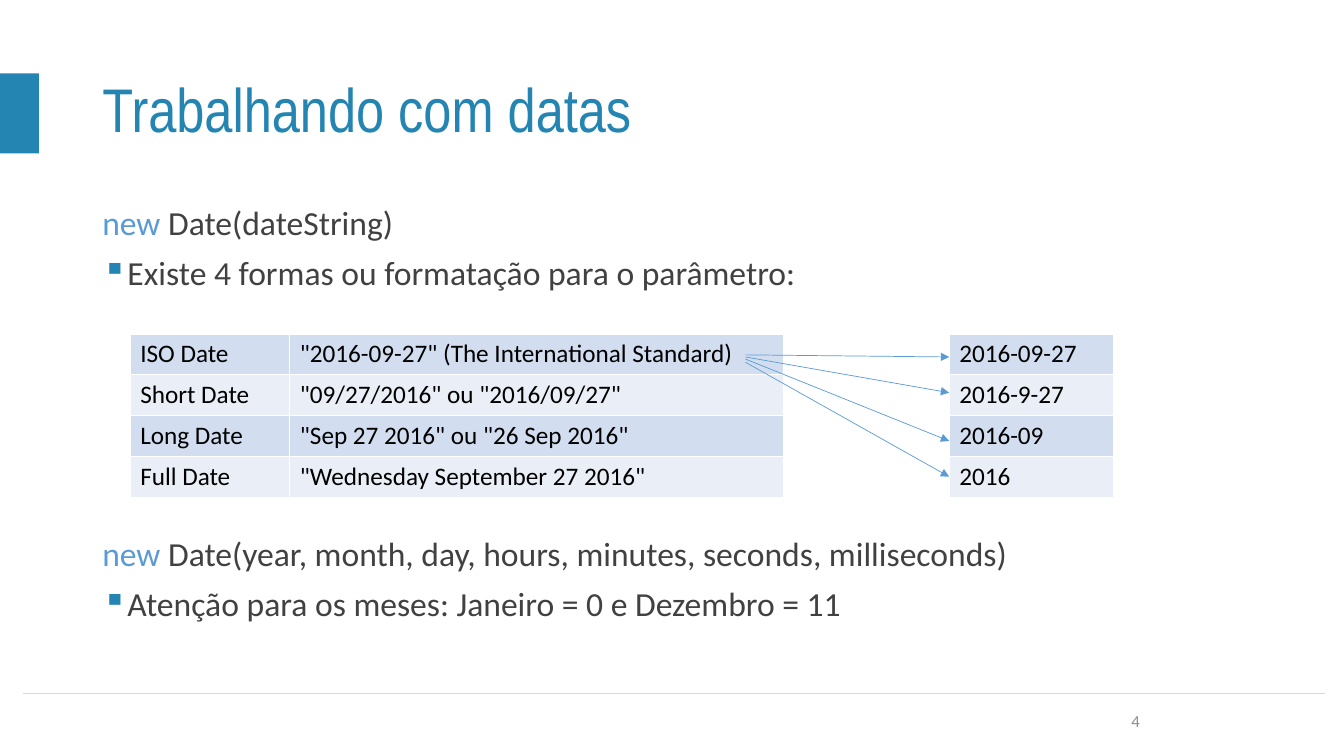
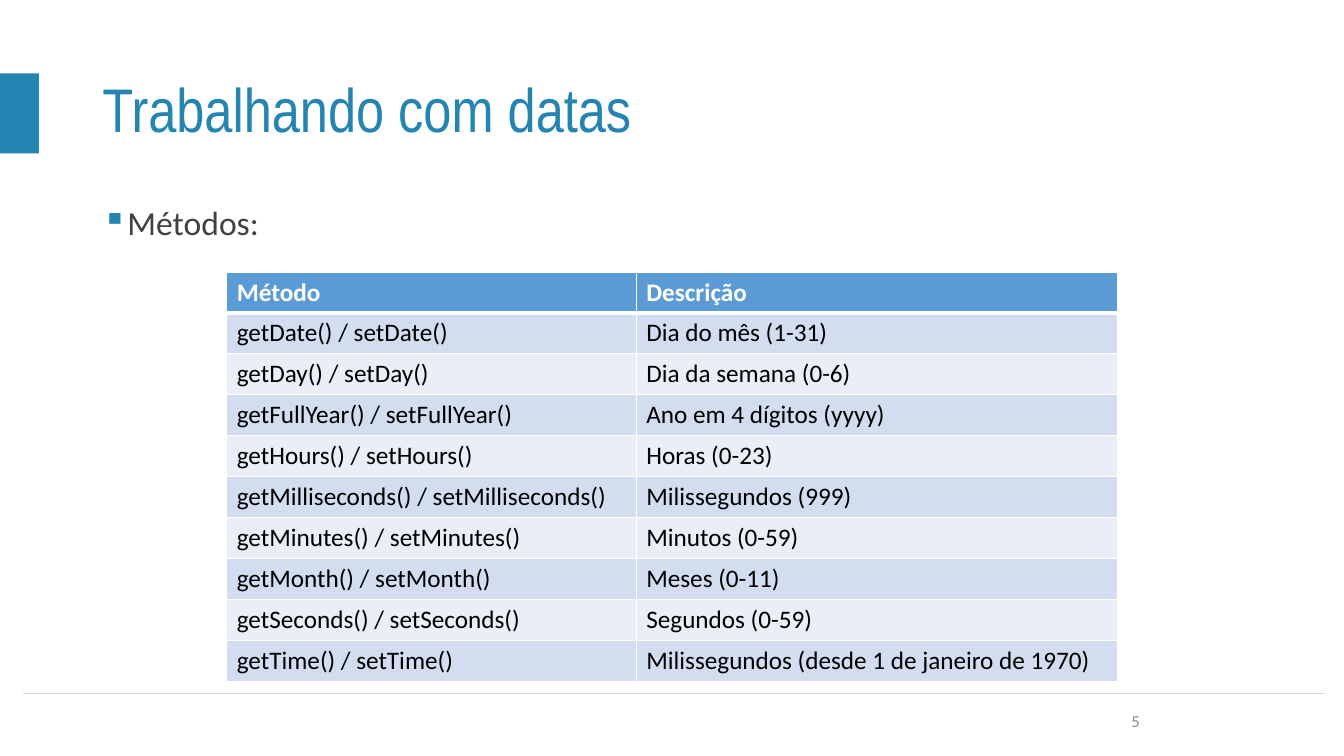
from lxml.etree import SubElement
from pptx import Presentation
from pptx.dml.color import RGBColor
from pptx.enum.shapes import MSO_CONNECTOR, MSO_SHAPE
from pptx.enum.text import MSO_ANCHOR, MSO_AUTO_SIZE, PP_ALIGN
from pptx.oxml.ns import qn
from pptx.util import Pt

EMU_PER_PX = 9525

TEAL = "2484B2"
BLUE = "5B9BD5"
BAND_DARK = "D2DEEF"
BAND_LIGHT = "EAEFF7"
RULE_GRAY = "D9D9D9"
TEXT_GRAY = "414141"
NUMBER_GRAY = "8C8C8C"
WHITE = "FFFFFF"
BLACK = "000000"

TITLE_FONT = {"name": "Arial Narrow", "size": Pt(44), "bold": False}
BODY_FONT = {"name": "Calibri", "size": Pt(24)}
NUMBER_FONT = {"name": "Calibri", "size": Pt(12)}
CELL_FONT = {"name": "Calibri", "size": Pt(18), "bold": False}
HEADER_FONT = {**CELL_FONT, "bold": True}
MIDDLE_FRAME = {
    "word_wrap": True,
    "auto_size": MSO_AUTO_SIZE.NONE,
    "vertical_anchor": MSO_ANCHOR.MIDDLE,
}
BODY_FRAME = {**MIDDLE_FRAME, "vertical_anchor": MSO_ANCHOR.TOP}
TITLE_PARAGRAPH = {"alignment": PP_ALIGN.LEFT, "line_spacing": 0.9}
BODY_PARAGRAPH = {**TITLE_PARAGRAPH, "space_before": Pt(10)}

TITLE = "Trabalhando com datas"
BODY_LEFT, BODY_WIDTH = 88, 1104
ROW_HEIGHT = 39
DATES_TOP = 318
RESULTS_LEFT = 904

DATE_FORMATS = [
    ("ISO Date", '"2016-09-27" (The International Standard)'),
    ("Short Date", '"09/27/2016" ou "2016/09/27"'),
    ("Long Date", '"Sep 27 2016" ou "26 Sep 2016"'),
    ("Full Date", '"Wednesday September 27 2016"'),
]
ISO_VARIANTS = [("2016-09-27",), ("2016-9-27",), ("2016-09",), ("2016",)]
ARROW_HEIGHTS = [(338, 340), (340, 374), (342, 420), (345, 454)]
METHODS = [
    ("Método", "Descrição"),
    ("getDate() / setDate()", "Dia do mês (1-31)"),
    ("getDay() / setDay()", "Dia da semana (0-6)"),
    ("getFullYear() / setFullYear()", "Ano em 4 dígitos (yyyy)"),
    ("getHours() / setHours()", "Horas (0-23)"),
    ("getMilliseconds() / setMilliseconds()", "Milissegundos (999)"),
    ("getMinutes() / setMinutes()", "Minutos (0-59)"),
    ("getMonth() / setMonth()", "Meses (0-11)"),
    ("getSeconds() / setSeconds()", "Segundos (0-59)"),
    ("getTime() / setTime()", "Milissegundos (desde 1 de janeiro de 1970)"),
]


def px(*lengths):
    return [length * EMU_PER_PX for length in lengths]


def rgb(value):
    return RGBColor.from_string(value)


def apply(target, values):
    for name, value in values.items():
        setattr(target, name, value)


def add_run(paragraph, text, font, color):
    run = paragraph.add_run()
    run.text = text
    apply(run.font, font)
    run.font.color.rgb = rgb(color)


def add_line(slide, start, end, color, arrow=False):
    connector = slide.shapes.add_connector(
        MSO_CONNECTOR.STRAIGHT, *px(*start, *end)
    )
    connector.line.color.rgb = rgb(color)
    connector.line.width = Pt(0.5)
    if arrow:
        SubElement(connector.line._get_or_add_ln(), qn("a:tailEnd"), type="triangle")
    SubElement(connector._element.spPr, qn("a:effectLst"))


def add_bullet(paragraph):
    properties = paragraph._p.get_or_add_pPr()
    indent = px(24)[0]
    properties.set("marL", str(indent))
    properties.set("indent", str(-indent))
    bullet_color = SubElement(properties, qn("a:buClr"))
    SubElement(bullet_color, qn("a:srgbClr"), val=TEAL)
    SubElement(properties, qn("a:buChar"), char="▪")


def add_body(slide, top, bullet, constructor=None):
    box = slide.shapes.add_textbox(*px(BODY_LEFT, top, BODY_WIDTH, 92))
    frame = box.text_frame
    apply(frame, BODY_FRAME)
    paragraph = frame.paragraphs[0]
    if constructor:
        apply(paragraph, BODY_PARAGRAPH)
        add_run(paragraph, "new", BODY_FONT, BLUE)
        add_run(paragraph, f" {constructor}", BODY_FONT, TEXT_GRAY)
        paragraph = frame.add_paragraph()
    apply(paragraph, BODY_PARAGRAPH)
    add_bullet(paragraph)
    add_run(paragraph, bullet, BODY_FONT, TEXT_GRAY)


def set_borders(cell, widths):
    properties = cell._tc.get_or_add_tcPr()
    for side, width in widths.items():
        border = SubElement(properties, qn(f"a:ln{side}"), w=str(Pt(width)))
        fill = SubElement(border, qn("a:solidFill"))
        SubElement(fill, qn("a:srgbClr"), val=WHITE)


def add_grid(slide, left, top, widths, rows, header=False):
    table = slide.shapes.add_table(
        len(rows), len(widths), *px(left, top, sum(widths), ROW_HEIGHT * len(rows))
    ).table
    apply(table, {"first_row": header, "horz_banding": False})
    for column, width in zip(table.columns, px(*widths)):
        column.width = width
    for index, (row, texts) in enumerate(zip(table.rows, rows)):
        row.height = px(ROW_HEIGHT)[0]
        is_header = header and index == 0
        band = (BAND_DARK, BAND_LIGHT)[(index - header) % 2]
        borders = {
            "L": 1,
            "R": 1,
            "T": 3 if header and index == 1 else 1,
            "B": 3 if is_header else 1,
        }
        for cell, text in zip(row.cells, texts):
            set_borders(cell, borders)
            cell.fill.solid()
            cell.fill.fore_color.rgb = rgb(BLUE if is_header else band)
            add_run(
                cell.text_frame.paragraphs[0],
                text,
                HEADER_FONT if is_header else CELL_FONT,
                WHITE if is_header else BLACK,
            )


def add_titled_slide(deck, number):
    slide = deck.slides.add_slide(deck.slide_layouts.get_by_name("Title Only"))
    title = slide.shapes.title
    apply(title, dict(zip(("left", "top", "width", "height"),
                          px(BODY_LEFT, 38, BODY_WIDTH, 139))))
    apply(title.text_frame, MIDDLE_FRAME)
    heading = title.text_frame.paragraphs[0]
    apply(heading, TITLE_PARAGRAPH)
    add_run(heading, TITLE, TITLE_FONT, TEAL)

    marker = slide.shapes.add_shape(MSO_SHAPE.RECTANGLE, *px(0, 70, 37, 76))
    marker.shadow.inherit = False
    marker.fill.solid()
    marker.fill.fore_color.rgb = rgb(TEAL)
    marker.line.fill.background()
    add_line(slide, (22, 660), (1262, 660), RULE_GRAY)

    footer = slide.shapes.add_textbox(*px(904, 667, 191, 38)).text_frame
    apply(footer, MIDDLE_FRAME)
    footer.paragraphs[0].alignment = PP_ALIGN.RIGHT
    add_run(footer.paragraphs[0], str(number), NUMBER_FONT, NUMBER_GRAY)
    return slide


def build_formats_slide(deck):
    slide = add_titled_slide(deck, 4)
    add_body(slide, 192, "Existe 4 formas ou formatação para o parâmetro:",
             "Date(dateString)")
    add_grid(slide, 124, DATES_TOP, (152, 470), DATE_FORMATS)
    add_grid(slide, RESULTS_LEFT, DATES_TOP, (157,), ISO_VARIANTS)
    for start, end in ARROW_HEIGHTS:
        add_line(slide, (710, start), (RESULTS_LEFT, end), BLUE, arrow=True)
    add_body(slide, 507, "Atenção para os meses: Janeiro = 0 e Dezembro = 11",
             "Date(year, month, day, hours, minutes, seconds, milliseconds)")


def build_methods_slide(deck):
    slide = add_titled_slide(deck, 5)
    add_body(slide, 192, "Métodos:")
    add_grid(slide, 216, 259, (390, 458), METHODS, header=True)


def main():
    deck = Presentation()
    deck.slide_width, deck.slide_height = px(1280, 720)
    build_formats_slide(deck)
    build_methods_slide(deck)
    deck.save("out.pptx")


if __name__ == "__main__":
    main()
